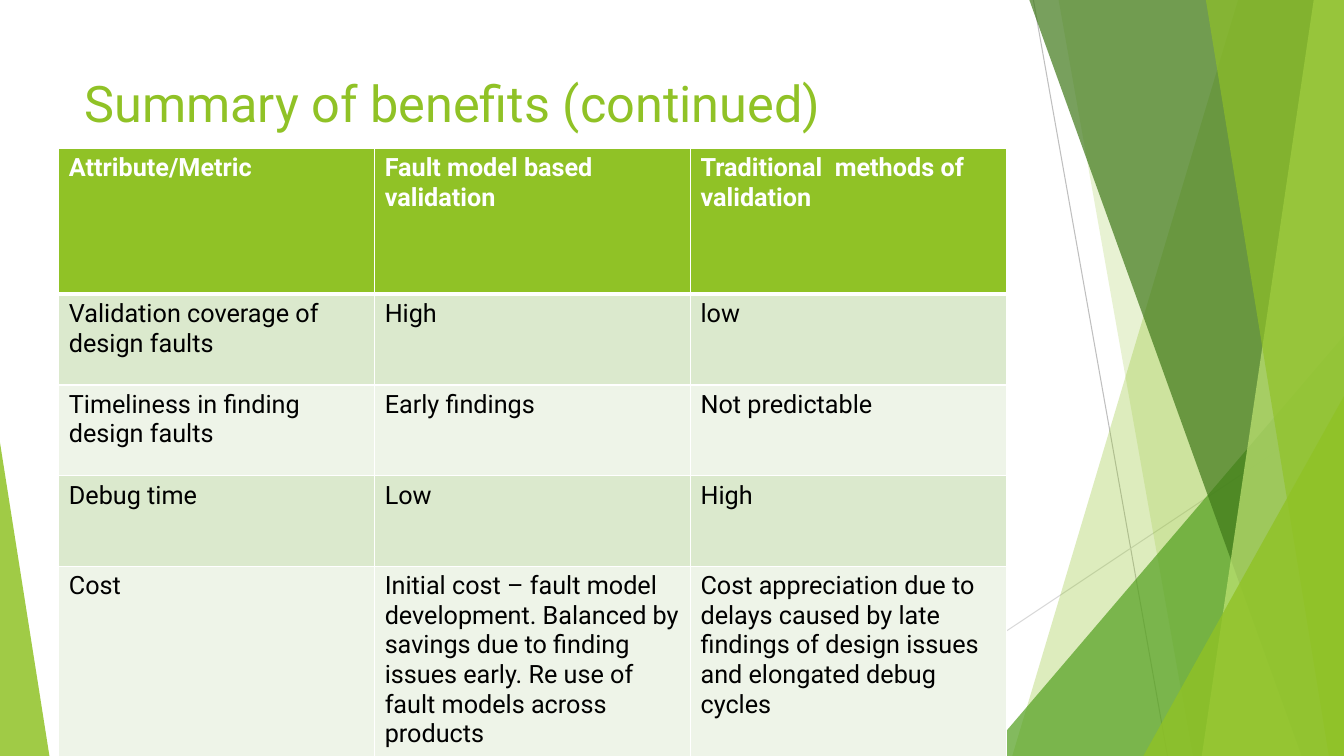
from lxml import etree
from pptx import Presentation
from pptx import util as u
from pptx.dml.color import RGBColor
from pptx.enum import shapes, text
from pptx.oxml import ns

WIDTH, HEIGHT = u.Inches(13.33), u.Inches(7.5)
FONT = "Roboto"
WHITE = RGBColor(0xFF, 0xFF, 0xFF)
BLACK = RGBColor(0x00, 0x00, 0x00)
LIME = RGBColor(0x90, 0xC2, 0x26)
PALE_LIME = RGBColor(0xC0, 0xE4, 0x74)
LEAF = RGBColor(0x54, 0xA0, 0x21)
FOREST = RGBColor(0x3F, 0x78, 0x19)
MINT = RGBColor(0xDB, 0xE9, 0xCD)
PALE_MINT = RGBColor(0xEE, 0xF4, 0xE8)
GRAY = RGBColor(0xBF, 0xBF, 0xBF)
PALE_GRAY = RGBColor(0xD9, 0xD9, 0xD9)

BENEFITS = [
    ("Attribute/Metric", "Fault model based validation",
     "Traditional  methods of validation"),
    ("Validation coverage of design faults", "High", "low"),
    ("Timeliness in finding design faults", "Early findings", "Not predictable"),
    ("Debug time", "Low", "High"),
    ("Cost",
     "Initial cost – fault model development. Balanced by savings due to "
     "finding issues early. Re use of fault models across products",
     "Cost appreciation due to delays caused by late findings of design "
     "issues and elongated debug cycles"),
]
ROW_SHARES = [19.33, 12, 12, 12, 17.2]


def across(percent):
    return u.Emu(round(WIDTH * percent / 100))


def down(percent):
    return u.Emu(round(HEIGHT * percent / 100))


def add_child(parent, tag, **attributes):
    return etree.SubElement(parent, ns.qn(tag), **attributes)


def add_line(page, start, end, color):
    line = page.shapes.add_connector(
        shapes.MSO_CONNECTOR.STRAIGHT,
        across(start[0]), down(start[1]), across(end[0]), down(end[1]))
    line.line.color.rgb = color
    line.line.width = u.Pt(0.75)
    add_child(line._element.spPr, "a:effectLst")


def paint(shape, color, opacity):
    shape.shadow.inherit = False
    shape.line.fill.background()
    shape.fill.solid()
    shape.fill.fore_color.rgb = color
    swatch = shape._element.spPr.find(".//" + ns.qn("a:srgbClr"))
    add_child(swatch, "a:alpha", val=str(opacity * 1000))


def add_facet(page, top_x, bottom_x, color, opacity):
    builder = page.shapes.build_freeform(across(top_x), 0)
    builder.add_line_segments(
        [(WIDTH, 0), (WIDTH, HEIGHT), (across(bottom_x), HEIGHT)], close=True)
    paint(builder.convert_to_shape(), color, opacity)


def add_corner(page, left, top, width, apex, color, opacity):
    corner = page.shapes.add_shape(
        shapes.MSO_SHAPE.ISOSCELES_TRIANGLE,
        across(left), down(top), across(width), down(100 - top))
    corner.adjustments[0] = apex
    paint(corner, color, opacity)


def style(para, size, color, bold=False):
    font = para.font
    font.name, font.size, font.bold = FONT, u.Pt(size), bold
    font.color.rgb = color


def add_title(page, words):
    box = page.shapes.add_textbox(across(5.55), down(8.93), across(70.5), down(19.2))
    box.text_frame.word_wrap = True
    box.text_frame.vertical_anchor = text.MSO_ANCHOR.TOP
    para = box.text_frame.paragraphs[0]
    para.text = words
    style(para, 36, LIME)


def add_borders(cell, top, bottom):
    properties = cell._tc.get_or_add_tcPr()
    for side, points in (("L", 1), ("R", 1), ("T", top), ("B", bottom)):
        edge = add_child(properties, f"a:ln{side}", w=str(u.Pt(points)))
        fill = add_child(edge, "a:solidFill")
        add_child(fill, "a:srgbClr", val=str(WHITE))


def add_benefits(page):
    frame = page.shapes.add_table(
        len(BENEFITS), len(BENEFITS[0]),
        across(4.38), down(19.6), across(70.5), down(sum(ROW_SHARES)))
    table = frame.table
    for index, (words, share) in enumerate(zip(BENEFITS, ROW_SHARES)):
        table.rows[index].height = down(share)
        header = index == 0
        fill = LIME if header else MINT if index % 2 else PALE_MINT
        for cell, label in zip(table.rows[index].cells, words):
            add_borders(cell, 3 if index == 1 else 1, 3 if header else 1)
            cell.fill.solid()
            cell.fill.fore_color.rgb = fill
            cell.text = label
            style(cell.text_frame.paragraphs[0], 18,
                  WHITE if header else BLACK, header)


def main():
    deck = Presentation()
    deck.slide_width, deck.slide_height = WIDTH, HEIGHT
    page = deck.slides.add_slide(deck.slide_layouts[6])
    add_line(page, (76.89, 0), (86.87, 100), GRAY)
    add_line(page, (100, 53.73), (60.92, 100), PALE_GRAY)
    add_facet(page, 92.12, 75.32, LIME, 30)
    add_facet(page, 78.77, 88.75, LIME, 20)
    add_corner(page, 73.29, 44.4, 26.71, 1, LEAF, 72)
    add_facet(page, 76.59, 96.85, FOREST, 70)
    add_facet(page, 97.75, 89.42, PALE_LIME, 70)
    add_facet(page, 89.72, 98.87, LIME, 65)
    add_corner(page, 85.07, 52.4, 14.93, 1, LIME, 80)
    add_corner(page, 0, 58.53, 3.68, 0, LIME, 85)
    add_title(page, "Summary of benefits (continued)")
    add_benefits(page)
    deck.save("out.pptx")


if __name__ == "__main__":
    main()
